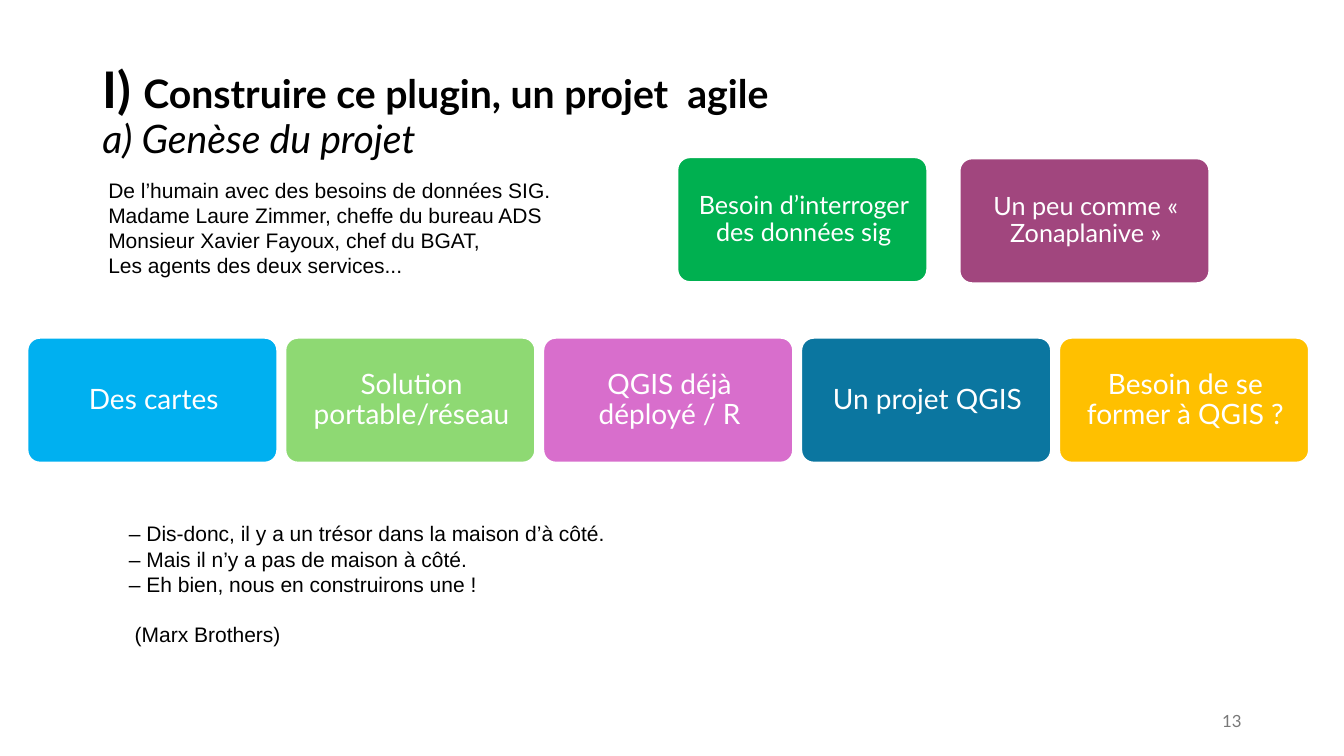
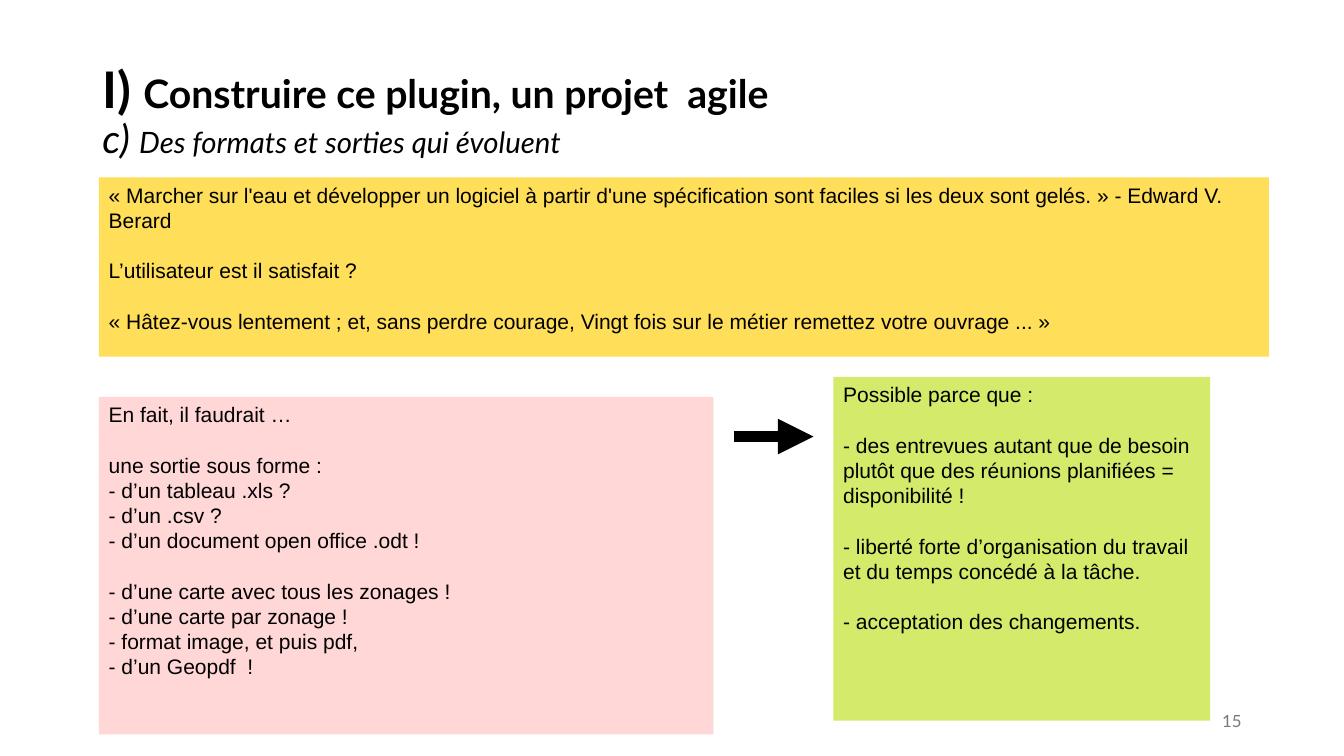
from dataclasses import dataclass

from lxml import etree
from pptx import Presentation
from pptx.dml.color import RGBColor
from pptx.enum import shapes, text
from pptx.oxml import ns
from pptx.util import Cm, Pt

# Shared colours and fonts
BLACK = RGBColor(0x00, 0x00, 0x00)
WHITE = RGBColor(0xFF, 0xFF, 0xFF)
GREY = RGBColor(0x78, 0x78, 0x78)
GREEN = RGBColor(0x00, 0xB0, 0x50)
PLUM = RGBColor(0xA1, 0x46, 0x7E)
SKY = RGBColor(0x00, 0xB0, 0xF0)
LEAF = RGBColor(0x8E, 0xD9, 0x73)
ORCHID = RGBColor(0xD8, 0x6E, 0xCC)
TEAL = RGBColor(0x0B, 0x76, 0xA0)
AMBER = RGBColor(0xFF, 0xC0, 0x00)
YELLOW = RGBColor(0xFF, 0xDE, 0x59)
PINK = RGBColor(0xFF, 0xD7, 0xD7)
LIME = RGBColor(0xD4, 0xEA, 0x6B)
HEAD_FONT = "Lato"
BODY_FONT = "Arial"

# Card grid, in centimetres
CARD_W, CARD_H = 6.3, 3.15
ROW_LEFT, ROW_TOP, STEP = 0.69, 8.51, 6.5


@dataclass
class Part:
    """A stretch of the title in one style."""
    words: str
    size: int
    bold: bool = False
    italic: bool = False


@dataclass
class Card:
    """A rounded label; left and top in centimetres."""
    words: str
    fill: RGBColor
    left: float
    top: float
    size: int = 20


@dataclass
class Note:
    """Body text in blocks set apart by one line; lengths in centimetres."""
    left: float
    top: float
    width: float
    height: float
    blocks: list[list[str]]
    fill: RGBColor | None = None


def style(font, name: str, size: float, color: RGBColor) -> None:
    font.name = name
    font.size = Pt(size)
    font.color.rgb = color


# Title and page number
def add_title(slide, parts: list[Part]) -> None:
    frame = slide.shapes.add_textbox(
        Cm(2.33), Cm(1.02), Cm(29.21), Cm(3.68)).text_frame
    frame.word_wrap = True
    frame.vertical_anchor = text.MSO_ANCHOR.MIDDLE
    para = frame.paragraphs[0]
    para.line_spacing = 0.9
    head = [Part("I) ", 36, bold=True),
            Part("Construire ce plugin, un projet  agile", 28, bold=True)]
    for line in (head, parts):
        if line is parts:
            para.add_line_break()
        for part in line:
            run = para.add_run()
            run.text = part.words
            style(run.font, HEAD_FONT, part.size, BLACK)
            run.font.bold = part.bold
            run.font.italic = part.italic


def add_number(slide, number: int) -> None:
    frame = slide.shapes.add_textbox(
        Cm(23.92), Cm(17.66), Cm(7.62), Cm(1.01)).text_frame
    frame.word_wrap = True
    frame.vertical_anchor = text.MSO_ANCHOR.MIDDLE
    frame.text = str(number)
    para = frame.paragraphs[0]
    para.alignment = text.PP_ALIGN.RIGHT
    style(para.runs[0].font, HEAD_FONT, 12, GREY)


# Cards, notes and arrow
def add_card(slide, card: Card) -> None:
    shape = slide.shapes.add_shape(
        shapes.MSO_SHAPE.ROUNDED_RECTANGLE,
        Cm(card.left), Cm(card.top), Cm(CARD_W), Cm(CARD_H))
    shape.adjustments[0] = 0.1
    shape.shadow.inherit = False
    shape.fill.solid()
    shape.fill.fore_color.rgb = card.fill
    shape.line.color.rgb = WHITE
    shape.line.width = Pt(1.5)
    frame = shape.text_frame
    frame.word_wrap = True
    frame.vertical_anchor = text.MSO_ANCHOR.MIDDLE
    frame.margin_left = frame.margin_top = frame.margin_bottom = Cm(0.1)
    frame.margin_right = Cm(0.03)
    frame.text = card.words
    para = frame.paragraphs[0]
    para.alignment = text.PP_ALIGN.CENTER
    para.line_spacing = 0.9
    para.space_after = Pt(7)
    style(para.runs[0].font, HEAD_FONT, card.size, WHITE)


def add_note(slide, note: Note) -> None:
    box = slide.shapes.add_textbox(
        Cm(note.left), Cm(note.top), Cm(note.width), Cm(note.height))
    if note.fill is not None:
        box.fill.solid()
        box.fill.fore_color.rgb = note.fill
    frame = box.text_frame
    frame.word_wrap = True
    frame.text = "\n".join(line for block in note.blocks for line in block)
    paras = iter(frame.paragraphs)
    for rank, block in enumerate(note.blocks):
        for spot in range(len(block)):
            para = next(paras)
            if rank and not spot:
                para.space_before = Pt(18)
            style(para.runs[0].font, BODY_FONT, 15, BLACK)


def add_arrow(slide, left: float, right: float, top: float) -> None:
    arrow = slide.shapes.add_connector(
        shapes.MSO_CONNECTOR.STRAIGHT, Cm(left), Cm(top), Cm(right), Cm(top))
    arrow.line.color.rgb = BLACK
    arrow.line.width = Pt(8.5)
    etree.SubElement(arrow.line._get_or_add_ln(), ns.qn("a:tailEnd"),
                     type="triangle")
    etree.SubElement(arrow._element.spPr, ns.qn("a:effectLst"))


# Slides
def add_genesis(slide) -> None:
    add_title(slide, [Part("a) Genèse du projet", 28, italic=True)])
    add_number(slide, 13)
    row = [("Des cartes", SKY),
           ("Solution portable/réseau", LEAF),
           ("QGIS déjà déployé / R", ORCHID),
           ("Un projet QGIS", TEAL),
           ("Besoin de se former à QGIS ?", AMBER)]
    cards = [Card(words, fill, ROW_LEFT + rank * STEP, ROW_TOP)
             for rank, (words, fill) in enumerate(row)]
    cards += [
        Card("Besoin d’interroger des données sig", GREEN, 17.07, 3.96, 18),
        Card("Un peu comme « Zonaplanive »", PLUM, 24.18, 3.99, 18)]
    for card in cards:
        add_card(slide, card)
    add_note(slide, Note(2.48, 4.34, 17.53, 3.1, [[
        "De l’humain avec des besoins de données SIG.",
        "Madame Laure Zimmer, cheffe du bureau ADS",
        "Monsieur Xavier Fayoux, chef du BGAT,",
        "Les agents des deux services..."]]))
    add_note(slide, Note(3, 13, 14.88, 3.81, [
        ["– Dis-donc, il y a un trésor dans la maison d’à côté.",
         "– Mais il n’y a pas de maison à côté.",
         "– Eh bien, nous en construirons une !"],
        [" (Marx Brothers)"]]))


def add_formats(slide) -> None:
    add_title(slide, [
        Part("c) ", 28, italic=True),
        Part("Des formats et sorties qui évoluent", 21, italic=True)])
    notes = [
        Note(2.49, 4.47, 29.49, 4.52, [
            ["« Marcher sur l'eau et développer un logiciel à partir d'une "
             "spécification sont faciles si les deux sont gelés. » - "
             "Edward V. Berard"],
            ["L’utilisateur est il satisfait ?"],
            ["« Hâtez-vous lentement ; et, sans perdre courage, Vingt fois "
             "sur le métier remettez votre ouvrage ... »"]], YELLOW),
        Note(2.49, 10, 15.49, 8.51, [
            ["En fait, il faudrait …"],
            ["une sortie sous forme :",
             "- d’un tableau .xls ?",
             "- d’un .csv ?",
             "- d’un document open office .odt !"],
            ["- d’une carte avec tous les zonages !",
             "- d’une carte par zonage !",
             "- format image, et puis pdf,",
             "- d’un Geopdf  !"]], PINK),
        Note(21, 9.5, 9.5, 8.66, [
            ["Possible parce que :"],
            ["- des entrevues autant que de besoin plutôt que des réunions "
             "planifiées = disponibilité !"],
            ["- liberté forte d’organisation du travail et du temps concédé "
             "à la tâche."],
            ["- acceptation des changements."]], LIME)]
    for note in notes:
        add_note(slide, note)
    add_arrow(slide, 18.49, 20.5, 11)
    add_number(slide, 15)


def main() -> None:
    deck = Presentation()
    deck.slide_width, deck.slide_height = Cm(33.87), Cm(19.05)
    for build in (add_genesis, add_formats):
        build(deck.slides.add_slide(deck.slide_layouts[6]))
    deck.save("out.pptx")


if __name__ == "__main__":
    main()
